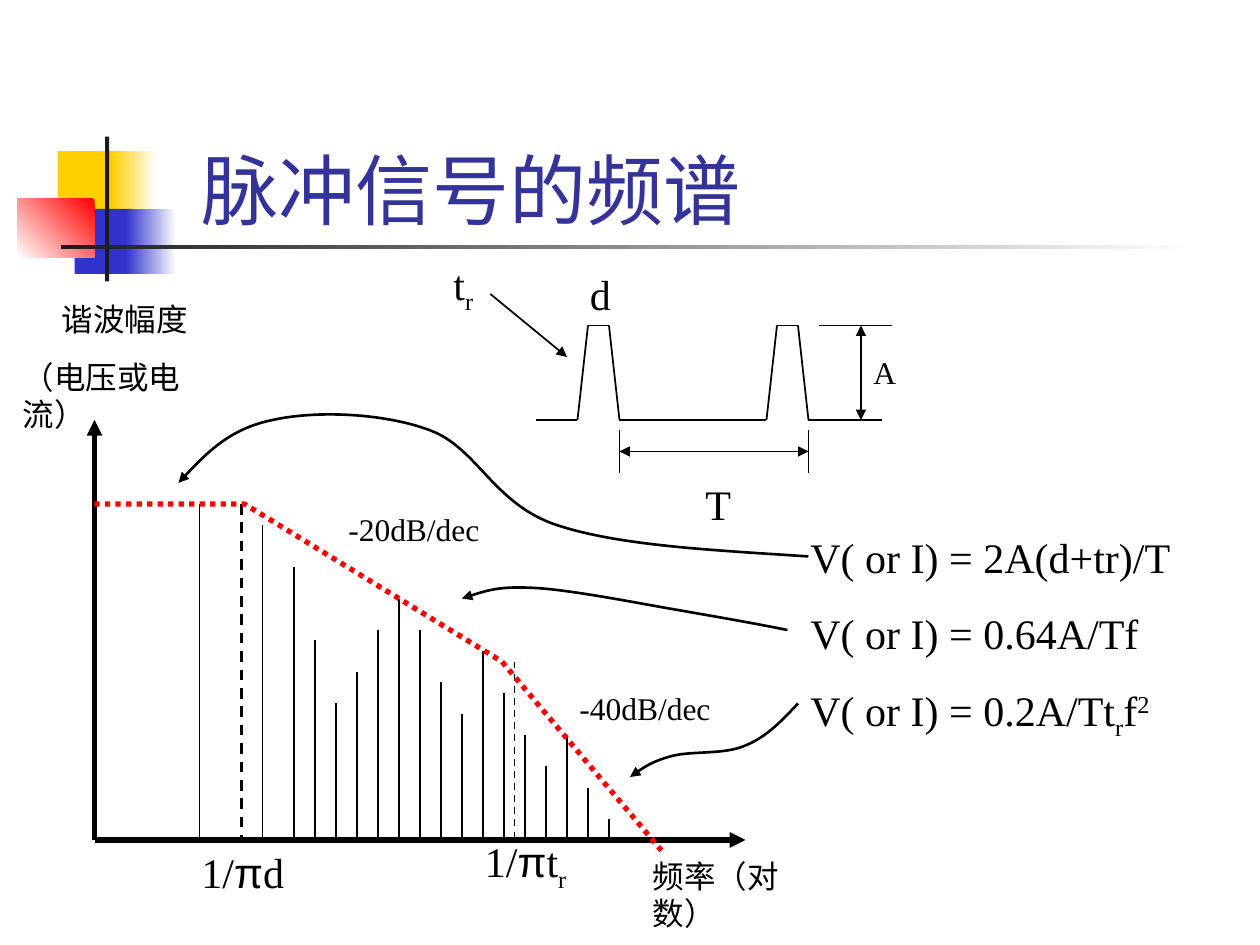
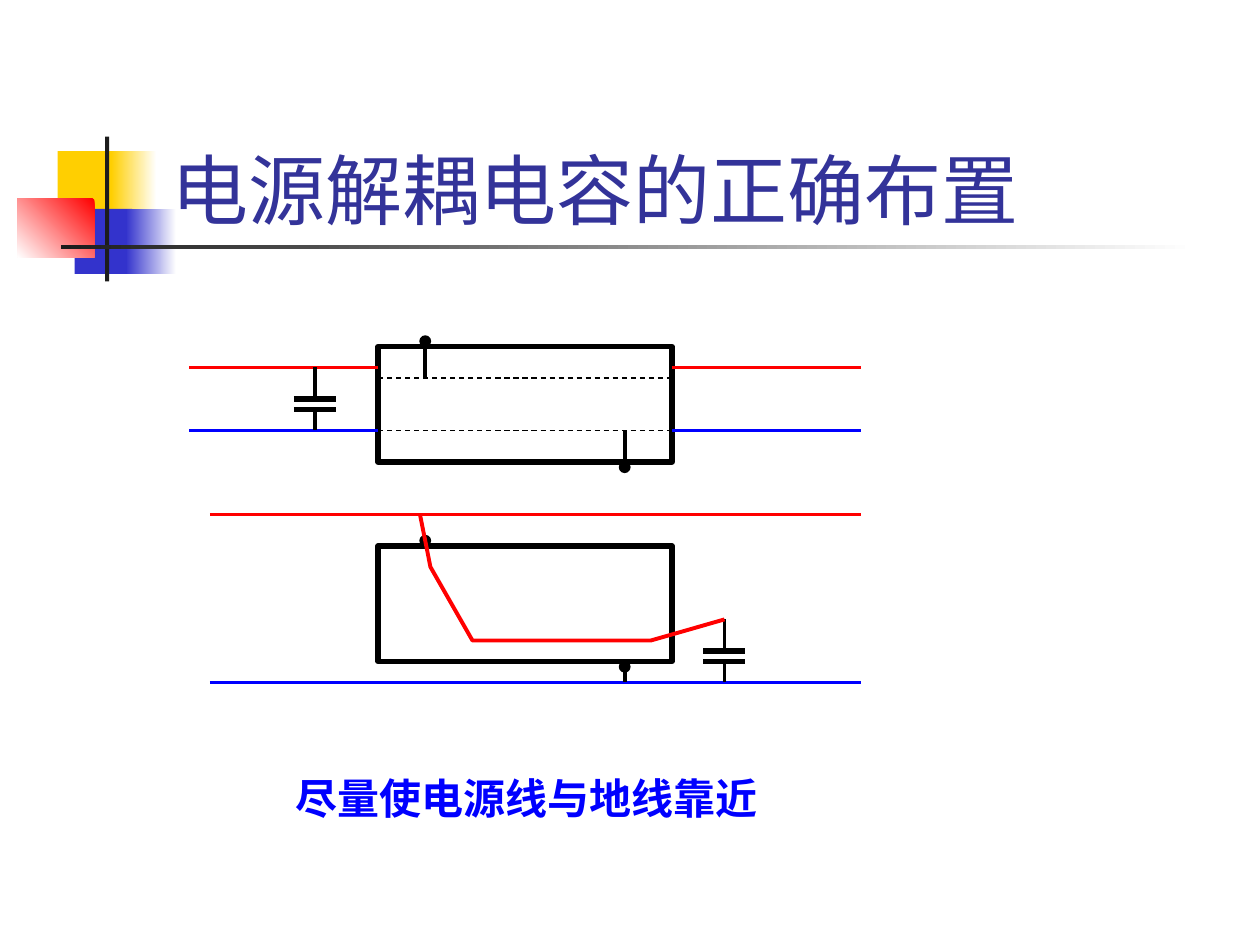
from itertools import pairwise

from lxml import etree
from pptx import Presentation
from pptx.dml.color import RGBColor
from pptx.enum import dml, shapes, text
from pptx.oxml.ns import qn
from pptx import util as u

# All places are in grid units: 12 to the inch, 120 x 90 on a slide.
UNIT = u.Inches(1) / 12
COLORS = {"ink": "000000", "title": "333399", "red": "FF0000", "blue": "0000FF",
          "yellow": "FFCF01", "indigo": "3333CC", "dark": "1C1C1C", "white": "FFFFFF"}
SERIF, SANS, SYMBOL = "Times New Roman", "Cabin", "Arial"
DASH, DOT = dml.MSO_LINE.DASH, dml.MSO_LINE.ROUND_DOT
SUB, SUPER = {"baseline": -25}, {"baseline": 30}
PI = ("π", {"font": SYMBOL})

# Master emblem: box, fill colours (one, or start and end), angle
EMBLEM = [
    ((5.5, 14.4, 5.8, 6.2), ["yellow"], 0),
    ((10.6, 14.4, 4.3, 6.2), ["white", "yellow"], 180),
    ((7.1, 19.9, 5.5, 6.2), ["indigo"], 0),
    ((12, 19.9, 4.8, 6.2), ["white", "indigo"], 180),
    ((1.65, 18.95, 7.35, 5.55), ["red", "white"], 135),
    ((10, 13, 0.4, 13.8), ["dark"], 0),
    ((5.8, 23.35, 108, 0.4), ["white", "dark"], 180),
]

# Slide 1: spectrum of a pulse train
AXIS_X, AXIS_Y = 9, 80
HARMONICS = [(19, 48), (25, 50), (28, 54), (30, 61), (32, 67), (34, 64), (36, 60),
             (38, 57), (40, 60), (42, 65), (44, 68), (46, 62), (48, 66), (50, 70),
             (52, 73), (54, 70), (56, 75), (58, 78)]
ENVELOPE = [(AXIS_X, 48), (23.3, 48), (47.8, 63), (63, 81)]
PULSE_TOP, PULSE_BASE, PERIOD = 31, 40, 18
PULSE_STARTS = [55, 55 + PERIOD]
PULSE_SHAPE = [(0, PULSE_BASE), (1, PULSE_TOP), (3, PULSE_TOP), (4, PULSE_BASE)]
PULSE_TRAIN = [(51, PULSE_BASE),
               *((x + dx, y) for x in PULSE_STARTS for dx, y in PULSE_SHAPE),
               (84, PULSE_BASE)]
POINTERS = [  # start, then two controls and an end for each curve
    [(77, 53), (68, 52.4), (59, 52), (53, 50), (47, 48), (45.5, 42.7), (41, 41),
     (36.5, 39.3), (30, 39.1), (26, 40), (22, 40.8), (19.4, 43.4), (17, 46)],
    [(75, 60), (71.5, 59.3), (68, 58.7), (64, 58), (60, 57.3), (54.4, 56.2), (51, 56),
     (47.6, 55.8), (45.8, 56.4), (44, 57)],
    [(76, 67), (74.5, 68.6), (73, 70.2), (71, 71), (69, 71.9), (65.9, 71.5), (64, 72),
     (62.2, 72.5), (61.1, 73.2), (60, 74)],
]
LABELS = [  # box, size, paragraphs
    ((66, 45, 6, 6), 24, ["T"]),
    ((18, 80, 12, 6), 24, [["1/", PI, "d"]]),
    ((45, 79, 12, 6.7), 24, [["1/", PI, "t", ("r", SUB)]]),
    ((55, 25, 3.7, 6), 24, ["d"]),
    ((42, 24, 4.7, 6.7), 24, [["t", ("r", SUB)]]),
    ((61, 81, 20, 8.4), 18, ["频率（对数）"]),
    ((32, 48, 17, 4.8), 18, ["-20dB/dec"]),
    ((54, 65, 16, 4.8), 18, ["-40dB/dec"]),
    ((82, 33, 6, 4.8), 18, ["A"]),
    ((76, 50, 37, 28.6), 24, ["V( or I) = 2A(d+tr)/T", "V( or I) = 0.64A/Tf",
                              ["V( or I) = 0.2A/Tt", ("r", SUB), "f", ("2", SUPER)]]),
]
AMPLITUDE_LABEL = (1, 28, 23, 13.9), 18, ["谐波幅度", "（电压或电流）"]

# Slide 2: decoupling capacitor placement
CHIP_X, CHIP_W, CHIP_H = 36, 28, 11
CHIP_RIGHT = CHIP_X + CHIP_W
GOOD_Y, BAD_Y = 33, 52
PIN_POWER, PIN_GROUND = 40.5, 59.5
RAIL_END = 82
LONG_LOOP = [(40, 49), (41, 54), (45, 61), (62, 61), (69, 59)]


def emu(*values):
    return [round(v * UNIT) for v in values]


def rgb(name):
    return RGBColor.from_string(COLORS[name])


def set_line(s, color, width, dash=None, ends=()):
    s.line.color.rgb = rgb(color)
    s.line.width = u.Pt(width)
    if dash is not None:
        s.line.dash_style = dash
    ln = s.element.xpath(".//a:ln")[0]
    for end in ends:
        etree.SubElement(ln, qn(f"a:{end}End"), type="triangle")


def add_line(slide, start, end, color="ink", width=1, **style):
    s = slide.shapes.add_connector(shapes.MSO_CONNECTOR.STRAIGHT, *emu(*start, *end))
    set_line(s, color, width, **style)
    etree.SubElement(s.element.spPr, qn("a:effectLst"))


def add_path(slide, points, color="ink", width=1.5, curved=False, **style):
    first, *rest = [emu(*pt) for pt in points]
    builder = slide.shapes.build_freeform(*first)
    builder.add_line_segments(rest, close=False)
    s = builder.convert_to_shape()
    s.fill.background()
    s.shadow.inherit = False
    set_line(s, color, width, **style)
    if curved:
        segments = s.element.xpath(".//a:lnTo")
        for i in range(0, len(segments), 3):
            curve = etree.Element(qn("a:cubicBezTo"))
            segments[i].addprevious(curve)
            for segment in segments[i:i + 3]:
                curve.append(segment[0])
                segment.getparent().remove(segment)


def add_box(slide, box, fills=(), angle=0, outline=0, kind=shapes.MSO_SHAPE.RECTANGLE):
    s = slide.shapes.add_shape(kind, *emu(*box))
    s.shadow.inherit = False
    if len(fills) == 2:
        s.fill.gradient()
        s.fill.gradient_angle = 360 - angle
        for stop, name in zip(s.fill.gradient_stops, fills):
            stop.color.rgb = rgb(name)
    elif fills:
        s.fill.solid()
        s.fill.fore_color.rgb = rgb(fills[0])
    else:
        s.fill.background()
    if outline:
        set_line(s, "ink", outline)
    else:
        s.line.fill.background()
    return s


def write(tf, paragraphs, size=24, font=SERIF, color="ink", bold=False, before=0):
    """Fill a text frame; a paragraph is a string or a list of runs."""
    tf.word_wrap = True
    for i, runs in enumerate(paragraphs):
        p = tf.paragraphs[0] if i == 0 else tf.add_paragraph()
        p.alignment = text.PP_ALIGN.LEFT
        p.space_before = u.Pt(before)
        for run in [runs] if isinstance(runs, str) else runs:
            words, extra = (run, {}) if isinstance(run, str) else run
            r = p.add_run()
            r.text = words
            r.font.name = extra.get("font", font)
            r.font.size = u.Pt(size)
            r.font.bold = bold
            r.font.color.rgb = rgb(color)
            if "baseline" in extra:
                r.font._element.set("baseline", str(extra["baseline"] * 1000))


def add_label(slide, box, size, paragraphs, **style):
    tf = slide.shapes.add_textbox(*emu(*box)).text_frame
    write(tf, paragraphs, size, before=size * 0.625, **style)
    tf.auto_size = text.MSO_AUTO_SIZE.SHAPE_TO_FIT_TEXT
    return tf


def add_titled_slide(prs, title, box):
    slide = prs.slides.add_slide(prs.slide_layouts[5])
    s = slide.shapes.title
    s.left, s.top, s.width, s.height = emu(*box)
    s.text_frame.auto_size = text.MSO_AUTO_SIZE.NONE
    s.text_frame.vertical_anchor = text.MSO_ANCHOR.BOTTOM
    write(s.text_frame, [title], 44, SANS, "title")
    return slide


def move_emblem_to_master(prs, slide):
    """Draw the emblem on a slide, then hand its shapes to the master."""
    for i, (box, fills, angle) in enumerate(EMBLEM):
        s = add_box(slide, box, fills, angle)
        s.element.nvSpPr.cNvPr.set("id", str(100 + i))
        prs.slide_master.shapes.element.append(s.element)


def draw_spectrum(slide):
    both = ("head", "tail")
    origin = (AXIS_X, AXIS_Y)
    for tip in [(AXIS_X, 40), (71, AXIS_Y)]:
        add_line(slide, origin, tip, width=3, ends=["tail"])
    for x, top in HARMONICS:
        add_line(slide, (x, top), (x, AXIS_Y))
    for x, top, width in [(23, 48, 1.5), (49, 63, 1)]:
        add_line(slide, (x, top), (x, AXIS_Y), width=width, dash=DASH)
    add_path(slide, ENVELOPE, "red", 3, dash=DOT)

    for start, end in pairwise(PULSE_TRAIN):
        add_line(slide, start, end)
    period = [x + 4 for x in PULSE_STARTS]
    for x in period:
        add_line(slide, (x, 41), (x, 45))
    add_line(slide, (period[0], 43), (period[1], 43), ends=both)
    add_line(slide, (78, PULSE_TOP), (85, PULSE_TOP), width=0.75)
    add_line(slide, (82, PULSE_TOP), (82, PULSE_BASE), width=1.5, ends=both)
    add_line(slide, (46.7, 28), (54, 34), ends=["tail"])

    for label in LABELS:
        add_label(slide, *label)
    tf = add_label(slide, *AMPLITUDE_LABEL)
    tf.paragraphs[0]._p.get_or_add_pPr().set("indent", str(u.Inches(0.31)))
    for points in POINTERS:
        add_path(slide, points, curved=True, ends=["tail"])


def add_capacitor(slide, x, top):
    for y in (top + 3, top + 4):
        add_line(slide, (x - 2, y), (x + 2, y), width=3)
    for y1, y2 in [(top, top + 3), (top + 4, top + 6)]:
        add_line(slide, (x, y1), (x, y2), width=2.25)


def add_chip(slide, y):
    """Draw a chip with a power pin above and a ground pin below."""
    add_box(slide, (CHIP_X, y, CHIP_W, CHIP_H), outline=3)
    for x, top in [(PIN_POWER, y - 1), (PIN_GROUND, y + CHIP_H)]:
        add_box(slide, (x - 0.5, top, 1, 1), ["ink"], outline=0.75,
                kind=shapes.MSO_SHAPE.OVAL)


def draw_decoupling(slide):
    add_chip(slide, GOOD_Y)
    for y, inner, color in [(35, 36, "red"), (41, 41, "blue")]:
        for x1, x2 in [(18, CHIP_X), (CHIP_RIGHT, RAIL_END)]:
            add_line(slide, (x1, y), (x2, y), color, 2.25)
        add_line(slide, (CHIP_X, inner), (CHIP_RIGHT, inner), width=0.75, dash=DASH)
    add_capacitor(slide, 30, 35)

    add_chip(slide, BAD_Y)
    for y, color in [(49, "red"), (65, "blue")]:
        add_line(slide, (20, y), (RAIL_END, y), color, 2.25)
    add_capacitor(slide, 69, 59)
    add_path(slide, LONG_LOOP, "red", 2.25)

    for x, y1, y2 in [(PIN_POWER, 33, 36), (PIN_GROUND, 41, 44), (PIN_GROUND, 63, 65)]:
        add_line(slide, (x, y1), (x, y2), width=2.25)
    add_label(slide, (27, 73, 50, 6), 24, ["尽量使电源线与地线靠近"],
              font=SANS, color="blue", bold=True)


def main():
    prs = Presentation()
    prs.slide_width, prs.slide_height = emu(120, 90)
    spectrum = add_titled_slide(prs, "脉冲信号的频谱", (18, 8, 102, 15))
    move_emblem_to_master(prs, spectrum)
    draw_spectrum(spectrum)
    decoupling = add_titled_slide(prs, "电源解耦电容的正确布置", (15.1, 8, 102.2, 15))
    draw_decoupling(decoupling)
    prs.save("out.pptx")


if __name__ == "__main__":
    main()
